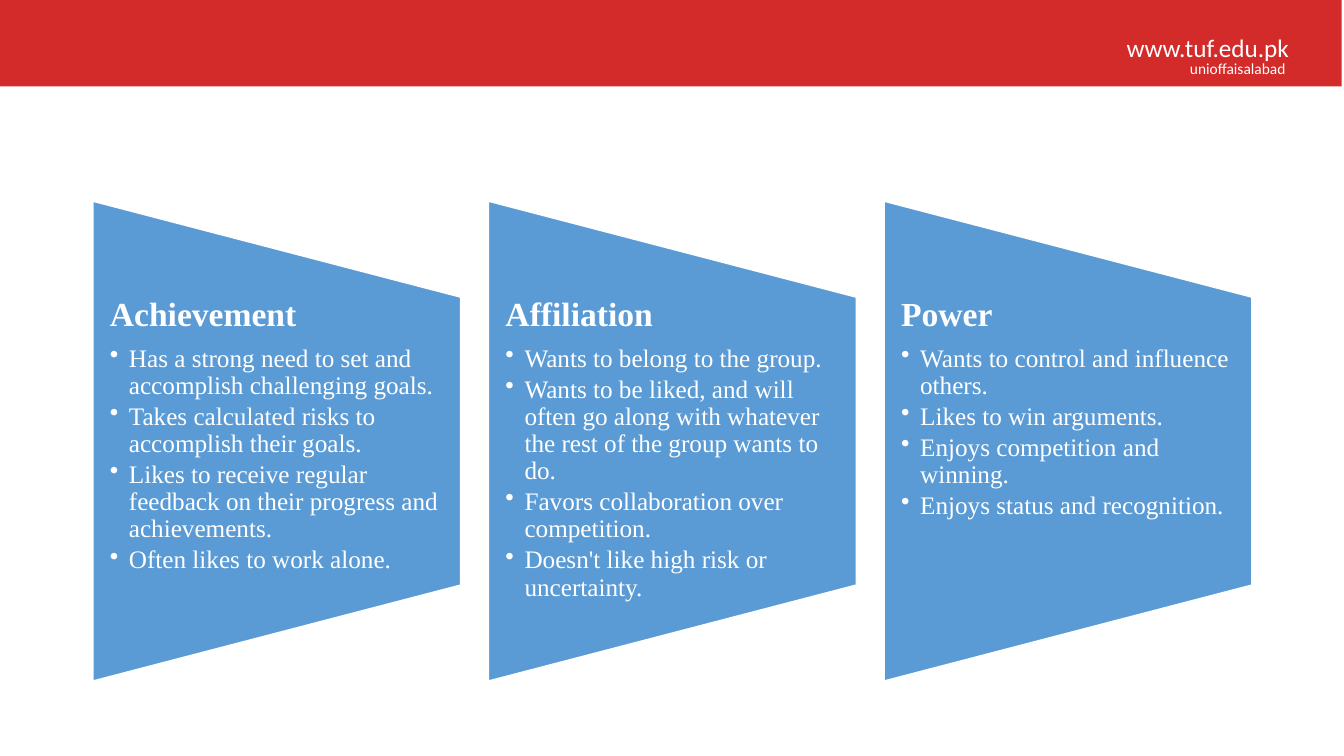
from lxml.etree import SubElement
from pptx import Presentation
from pptx.dml.color import RGBColor
from pptx.enum.shapes import MSO_SHAPE as Shape
from pptx.enum.text import MSO_ANCHOR as Anchor, MSO_AUTO_SIZE as AutoSize
from pptx.oxml.ns import qn
from pptx.util import Cm, Pt

COLORS = {"red": "D32A2A", "blue": "5B9BD5", "white": "FFFFFF"}

PANEL_LEFT, PANEL_TOP = 2.34, 5.07
PANEL_WIDTH, PANEL_HEIGHT = 9.27, 12.09
PANEL_STEP = 9.97
TEXT_TOP, TEXT_HEIGHT = 7.49, 7.26
BULLET_INDENT = 0.48

NEEDS = [
    ("Achievement", [
        "Has a strong need to set and accomplish challenging goals.",
        "Takes calculated risks to accomplish their goals.",
        "Likes to receive regular feedback on their progress and achievements.",
        "Often likes to work alone.",
    ]),
    ("Affiliation", [
        "Wants to belong to the group.",
        "Wants to be liked, and will often go along with whatever "
        "the rest of the group wants to do.",
        "Favors collaboration over competition.",
        "Doesn't like high risk or uncertainty.",
    ]),
    ("Power", [
        "Wants to control and influence others.",
        "Likes to win arguments.",
        "Enjoys competition and winning.",
        "Enjoys status and recognition.",
    ]),
]


def color(name):
    return RGBColor.from_string(COLORS[name])


def add_block(page, kind, left, top, width, height, fill):
    block = page.shapes.add_shape(kind, Cm(left), Cm(top), Cm(width), Cm(height))
    block.shadow.inherit = False
    block.fill.solid()
    block.fill.fore_color.rgb = color(fill)
    block.line.fill.background()
    return block


def add_frame(page, left, top, width, height):
    box = page.shapes.add_textbox(Cm(left), Cm(top), Cm(width), Cm(height))
    frame = box.text_frame
    frame.word_wrap = True
    frame.vertical_anchor = Anchor.TOP
    return frame


def write(para, text, size, font, bold=False):
    para.text = text
    para.font.size = Pt(size)
    para.font.name = font
    para.font.bold = bold
    para.font.color.rgb = color("white")


def add_bullet(para):
    para.level = 1
    props = para._p.get_or_add_pPr()
    props.set("marL", str(Cm(BULLET_INDENT)))
    props.set("indent", str(-Cm(BULLET_INDENT)))
    SubElement(props, qn("a:buChar")).set("char", "•")


def add_panel(page, left, title, points):
    # The shape is laid out sideways, then turned so its wide edge is on the left
    shift = (PANEL_HEIGHT - PANEL_WIDTH) / 2
    panel = add_block(page, Shape.FLOWCHART_MANUAL_OPERATION, left - shift,
                      PANEL_TOP + shift, PANEL_HEIGHT, PANEL_WIDTH, "blue")
    panel.rotation = 270
    panel.line.color.rgb = color("white")
    panel.line.width = Pt(1)

    # Heading and bullets
    frame = add_frame(page, left, TEXT_TOP, PANEL_WIDTH, TEXT_HEIGHT)
    frame.margin_left = frame.margin_right = Cm(0.43)
    frame.margin_top = frame.margin_bottom = 0
    heading = frame.paragraphs[0]
    heading.line_spacing = 0.9
    heading.space_after = Pt(8.4)
    write(heading, title, 24, "Times New Roman", bold=True)
    for point in points:
        para = frame.add_paragraph()
        add_bullet(para)
        para.line_spacing = 0.9
        para.space_after = Pt(2.7)
        write(para, point, 18, "Times New Roman")


def add_label(page, left, top, width, height, text, size):
    frame = add_frame(page, left, top, width, height)
    frame.auto_size = AutoSize.SHAPE_TO_FIT_TEXT
    write(frame.paragraphs[0], text, size, "Calibri")


def main():
    deck = Presentation()
    deck.slide_width, deck.slide_height = Cm(33.87), Cm(19.05)
    page = deck.slides.add_slide(deck.slide_layouts[6])

    # Three needs
    for index, (title, points) in enumerate(NEEDS):
        add_panel(page, PANEL_LEFT + index * PANEL_STEP, title, points)

    # Header band
    add_block(page, Shape.RECTANGLE, 0, 0, 33.81, 2.18, "red")
    add_label(page, 29.74, 1.37, 4.5, 0.51, "unioffaisalabad", 11)
    add_label(page, 28.14, 0.69, 7.24, 0.71, "www.tuf.edu.pk", 18)

    deck.save("out.pptx")


if __name__ == "__main__":
    main()
